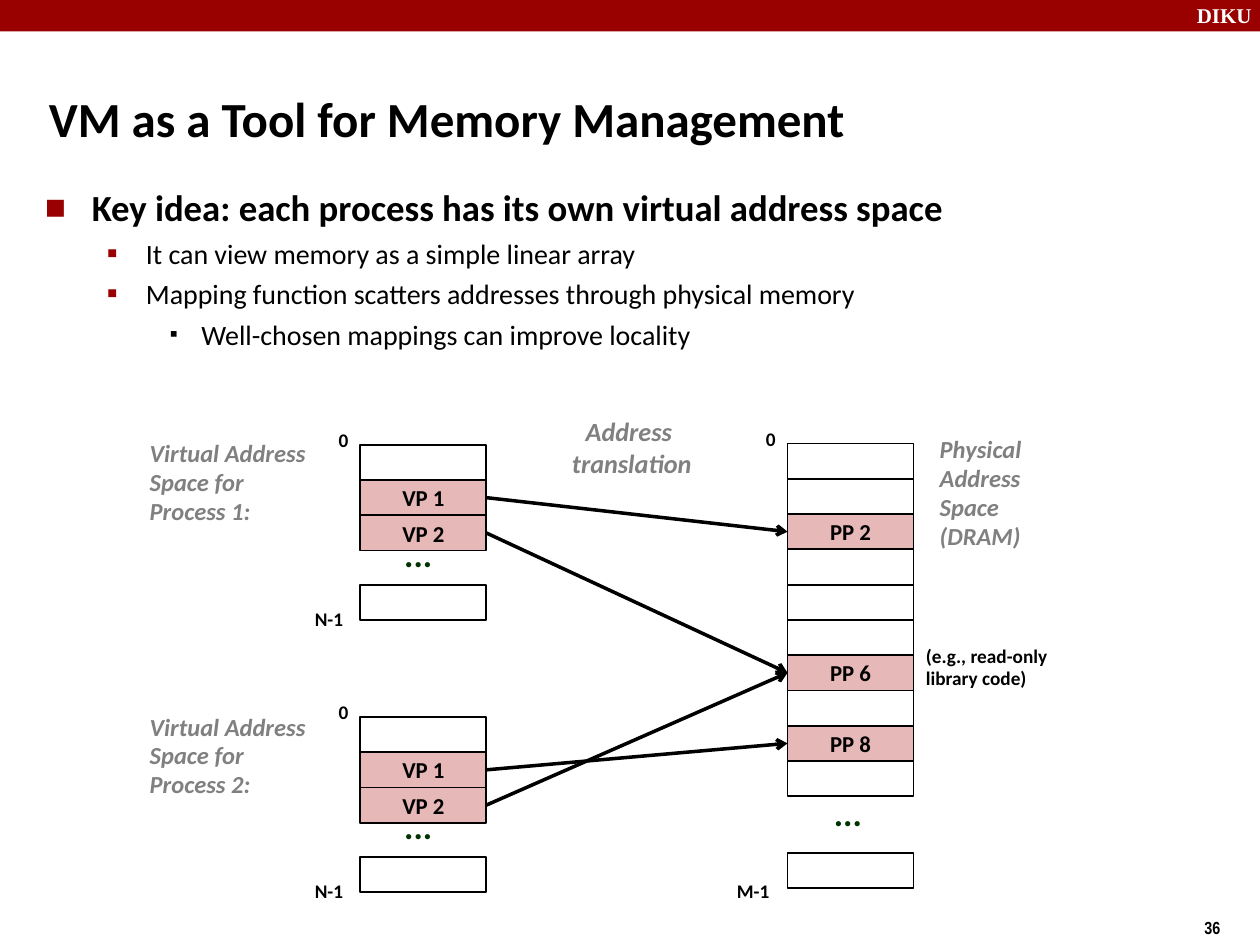
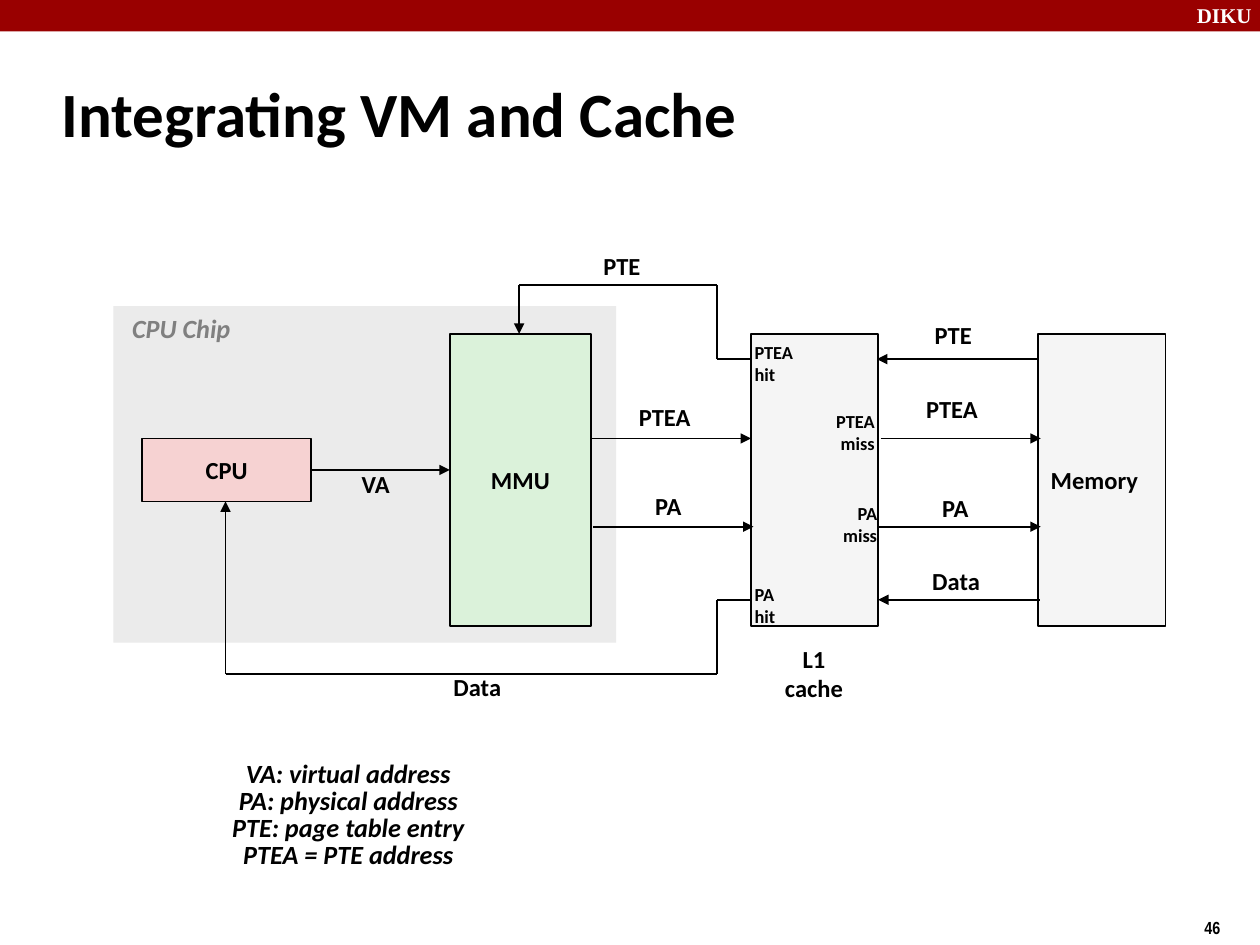
"""Build two lecture slides on virtual memory: address translation and the cache."""
from dataclasses import dataclass

from lxml.etree import SubElement
from pptx import Presentation
from pptx.dml.color import RGBColor
from pptx.enum.shapes import MSO_CONNECTOR as Connector, MSO_SHAPE as Shape
from pptx.enum.text import MSO_ANCHOR as Anchor, PP_ALIGN as Align
from pptx.oxml.ns import qn
from pptx.util import Inches, Pt


@dataclass(frozen=True)
class Theme:
    font: str = "Calibri"
    brand_font: str = "Times New Roman"
    number_font: str = "Arial Narrow"
    band: str = "990000"
    paper: str = "FFFFFF"
    ink: str = "000000"
    muted: str = "808080"
    dots: str = "003300"
    mapped: str = "E6B9B8"
    chip: str = "EBEBEB"
    cpu: str = "F6D2D2"
    mmu: str = "DBF2DA"
    storage: str = "F5F5F5"
    brand_size: float = 12
    number_size: float = 10
    name_size: float = 14
    note_size: float = 15
    page_size: float = 13
    mark_size: float = 11
    dots_size: float = 20
    port_size: float = 10.5


THEME = Theme()
SNUG = (0.07, 0.03)

BRAND = "DIKU"
MEMORY = dict(title="VM as a Tool for Memory Management", at=(0.29, 0.62, 9.42, 0.63),
              size=28, number="36")
CACHE = dict(title="Integrating VM and Cache", at=(0.39, 0.48, 8.3, 0.83),
             size=36, number="46")

KEY_IDEA = [
    (0, "Key idea: each process has its own virtual address space"),
    (1, "It can view memory as a simple linear array"),
    (1, "Mapping function scatters addresses through physical memory"),
    (2, "Well-chosen mappings can improve locality"),
]
LEVELS = [
    dict(indent=0.38, hang=0.37, before=4.8, mark="■", color=THEME.band, scale=60, size=21),
    dict(indent=0.81, hang=0.31, before=4, mark="▪", color=THEME.band, scale=110, size=16),
    dict(indent=1.25, hang=0.25, before=4, mark="▪", color=THEME.ink, scale=80, size=16),
]

PAGE_WIDTH, PAGE_HEIGHT = 1, 0.28
VIRTUAL = dict(left=2.86, pages=["", "VP 1", "VP 2"], last=1.11, dots=(0.25, 0.69),
               end="N-1", end_width=0.49, end_drop=0.14)
SPACES = {
    "process 1": dict(VIRTUAL, top=3.53, name=["Virtual Address Space for Process 1:"],
                      name_at=(1.09, 3.44, 1.5, 1.28)),
    "process 2": dict(VIRTUAL, top=5.69, name=["Virtual Address Space for Process 2:"],
                      name_at=(1.09, 5.61, 1.5, 1.28)),
    "physical": dict(left=6.25, top=3.52, last=3.25, dots=(0.27, 2.76),
                     pages=["", "", "PP 2", "", "", "", "PP 6", "", "PP 8", ""],
                     end="M-1", end_width=0.53, end_drop=0.17,
                     name=["Physical", "Address", "Space (DRAM)"],
                     name_at=(7.36, 3.41, 1.17, 1.28)),
}
MAPPINGS = [
    ("process 1", "VP 1", "PP 2"), ("process 1", "VP 2", "PP 6"),
    ("process 2", "VP 2", "PP 6"), ("process 2", "VP 1", "PP 8"),
]
SHARED_CODE = ["(e.g., read-only", "library code)"]
TRANSLATION = ["Address ", "translation"]

UNIT_TOP, UNIT_HEIGHT = 2.65, 2.32
UNITS = [
    ("CPU", (1.13, 3.48, 1.34, 0.5), THEME.cpu, Align.CENTER),
    ("MMU", (3.57, UNIT_TOP, 1.12, UNIT_HEIGHT), THEME.mmu, Align.CENTER),
    ("", (5.96, UNIT_TOP, 1.01, UNIT_HEIGHT), THEME.storage, Align.CENTER),
    ("Memory", (8.24, UNIT_TOP, 1.01, UNIT_HEIGHT), THEME.storage, Align.LEFT),
]
ROUTES = [
    [(2.47, 3.73), (3.57, 3.73)],
    [(4.69, 3.48), (5.96, 3.48)],
    [(4.71, 4.18), (5.98, 4.18)],
    [(6.99, 3.48), (8.26, 3.48)],
    [(6.97, 4.18), (8.26, 4.18)],
    [(8.24, 2.85), (6.96, 2.85)],
    [(8.25, 4.76), (6.97, 4.76)],
    [(5.96, 2.85), (5.69, 2.85), (5.69, 2.26), (4.12, 2.26), (4.12, 2.65)],
    [(5.96, 4.76), (5.69, 4.76), (5.69, 5.35), (1.79, 5.35), (1.79, 3.98)],
]
REQUESTS = [
    ("VA", (2.8, 3.73, 0.39, 0.32)),
    ("PTEA", (5, 3.2, 0.61, 0.32)),
    ("PA", (5.13, 3.9, 0.38, 0.32)),
    ("PTEA", (7.28, 3.13, 0.61, 0.32)),
]
REPLIES = [
    ("PTE", (4.69, 1.93, 0.53, 0.36)),
    ("Data", (3.5, 5.27, 0.63, 0.36)),
    ("PA", (7.38, 3.85, 0.44, 0.36)),
    ("Data", (7.3, 4.43, 0.63, 0.36)),
    ("PTE", (7.32, 2.48, 0.53, 0.36)),
]
PORTS = [
    (["PTEA", "hit"], (5.89, 2.63, 0.59, 0.5), Align.LEFT),
    (["PTEA", "miss"], (6.49, 3.18, 0.55, 0.5), Align.RIGHT),
    (["PA", "miss"], (6.55, 3.91, 0.51, 0.5), Align.RIGHT),
    (["PA", "hit"], (5.89, 4.55, 0.41, 0.5), Align.LEFT),
]
GLOSSARY = ["VA: virtual address", "PA: physical address",
            "PTE: page table entry", "PTEA = PTE address"]


def rgb(color):
    return RGBColor.from_string(color)


def set_frame(frame, anchor, wrap, inset):
    frame.word_wrap = wrap
    frame.vertical_anchor = anchor
    frame.margin_left = frame.margin_right = Inches(inset[0])
    frame.margin_top = frame.margin_bottom = Inches(inset[1])


def add_run(paragraph, words, size, color=THEME.ink, font=THEME.font, bold=True, italic=False):
    run = paragraph.add_run()
    run.text = words
    run.font.size, run.font.name = Pt(size), font
    run.font.bold, run.font.italic = bold, italic
    run.font.color.rgb = rgb(color)


def write(frame, lines, size, align=Align.LEFT, spacing=None, anchor=Anchor.TOP,
          wrap=False, inset=(0.1, 0.05), **look):
    set_frame(frame, anchor, wrap, inset)
    for index, words in enumerate(lines):
        paragraph = frame.add_paragraph() if index else frame.paragraphs[0]
        paragraph.alignment = align
        if spacing:
            paragraph.line_spacing = spacing
        add_run(paragraph, words, size, **look)


def add_label(slide, at, lines, size, **style):
    write(slide.shapes.add_textbox(*map(Inches, at)).text_frame, lines, size, **style)


def add_box(slide, at, fill=None, outline=True):
    box = slide.shapes.add_shape(Shape.RECTANGLE, *map(Inches, at))
    box.shadow.inherit = False
    if fill:
        box.fill.solid()
        box.fill.fore_color.rgb = rgb(fill)
    else:
        box.fill.background()
    if outline:
        box.line.color.rgb = rgb(THEME.ink)
        box.line.width = Pt(1)
    else:
        box.line.fill.background()
    return box


def add_route(slide, stops, width=1, head="triangle"):
    for start, end in zip(stops, stops[1:]):
        leg = slide.shapes.add_connector(Connector.STRAIGHT, *map(Inches, start + end))
        leg.line.color.rgb = rgb(THEME.ink)
        leg.line.width = Pt(width)
        if end == stops[-1]:
            SubElement(leg.line._get_or_add_ln(), qn("a:tailEnd"), type=head)
        SubElement(leg._element.spPr, qn("a:effectLst"))


def add_bullet(paragraph, level):
    props = paragraph._p.get_or_add_pPr()
    props.set("marL", str(Inches(level["indent"])))
    props.set("indent", str(-Inches(level["hang"])))
    SubElement(SubElement(props, qn("a:buClr")), qn("a:srgbClr"), val=level["color"])
    SubElement(props, qn("a:buSzPct"), val=str(level["scale"] * 1000))
    SubElement(props, qn("a:buFont"), typeface=THEME.font)
    SubElement(props, qn("a:buChar"), char=level["mark"])


def start_slide(deck, heading):
    slide = deck.slides.add_slide(deck.slide_layouts[6])
    slide.background.fill.solid()
    slide.background.fill.fore_color.rgb = rgb(THEME.paper)
    add_box(slide, (0, 0, 10, 0.25), THEME.band, outline=False)
    add_label(slide, (9.4, -0.03, 0.67, 0.3), [BRAND], THEME.brand_size,
              font=THEME.brand_font, color=THEME.paper, wrap=True)
    add_label(slide, (9.46, 7.23, 0.75, 0.27), [heading["number"]], THEME.number_size,
              font=THEME.number_font)
    add_label(slide, heading["at"], [heading["title"]], heading["size"],
              anchor=Anchor.MIDDLE, wrap=True)
    return slide


def add_key_idea(slide):
    frame = slide.shapes.add_textbox(*map(Inches, (0.25, 1.42, 8.58, 1.37))).text_frame
    set_frame(frame, Anchor.TOP, True, (0.1, 0.05))
    for index, (depth, words) in enumerate(KEY_IDEA):
        level = LEVELS[depth]
        paragraph = frame.add_paragraph() if index else frame.paragraphs[0]
        paragraph.level = depth
        add_bullet(paragraph, level)
        if index:
            paragraph.space_before = Pt(level["before"])
        add_run(paragraph, words, level["size"], bold=depth == 0)


def add_space(slide, left, top, pages, last, dots, end, end_width, end_drop, name, name_at):
    """Draw one address space and return the middle height of each named page."""
    middles = {}
    offsets = [row * PAGE_HEIGHT for row in range(len(pages))] + [last]
    for page, offset in zip(pages + [""], offsets):
        box = add_box(slide, (left, top + offset, PAGE_WIDTH, PAGE_HEIGHT),
                      THEME.mapped if page else None)
        if page:
            write(box.text_frame, [page], THEME.page_size, align=Align.CENTER,
                  anchor=Anchor.MIDDLE, wrap=True)
            middles[page] = top + offset + PAGE_HEIGHT / 2
    add_label(slide, (left + dots[0], top + dots[1], 0.46, 0.5), ["..."],
              THEME.dots_size, color=THEME.dots, spacing=0.88)
    add_label(slide, (left - 0.27, top - 0.17, 0.3, 0.33), ["0"],
              THEME.mark_size, spacing=0.98)
    add_label(slide, (left + 0.03 - end_width, top + last + end_drop, end_width, 0.33),
              [end], THEME.mark_size, spacing=0.98)
    add_label(slide, name_at, name, THEME.name_size, color=THEME.muted,
              italic=True, spacing=0.98, wrap=True)
    return middles


def build_memory(deck):
    slide = start_slide(deck, MEMORY)
    add_key_idea(slide)
    middles = {key: add_space(slide, **space) for key, space in SPACES.items()}
    physical_left = SPACES["physical"]["left"]
    for process, virtual_page, physical_page in MAPPINGS:
        start = (SPACES[process]["left"] + PAGE_WIDTH, middles[process][virtual_page])
        end = (physical_left, middles["physical"][physical_page])
        add_route(slide, [start, end], width=2, head="arrow")
    add_label(slide, (7.25, 5.07, 1.58, 0.56), SHARED_CODE, THEME.mark_size,
              spacing=0.98, wrap=True)
    add_label(slide, (4.28, 3.25, 1.47, 0.77), TRANSLATION, THEME.note_size,
              color=THEME.muted, italic=True, align=Align.CENTER)


def build_cache(deck):
    slide = start_slide(deck, CACHE)
    add_box(slide, (0.9, 2.43, 3.99, 2.67), THEME.chip, outline=False)
    add_label(slide, (0.95, 2.43, 1.14, 0.4), ["CPU Chip"], THEME.note_size,
              color=THEME.muted, italic=True)
    for unit, at, fill, align in UNITS:
        box = add_box(slide, at, fill)
        if unit:
            write(box.text_frame, [unit], THEME.name_size, align=align, anchor=Anchor.MIDDLE)
    for stops in ROUTES:
        add_route(slide, stops)
    for words, at in REQUESTS:
        add_label(slide, at, [words], THEME.name_size, spacing=0.85, inset=SNUG)
    for words, at in REPLIES:
        add_label(slide, at, [words], THEME.name_size, anchor=Anchor.MIDDLE)
    for lines, at, align in PORTS:
        add_label(slide, at, lines, THEME.port_size, align=align, anchor=Anchor.MIDDLE)
    add_label(slide, (6.1, 5.03, 0.72, 0.63), ["L1", "cache"], THEME.name_size,
              align=Align.CENTER, anchor=Anchor.MIDDLE)
    add_label(slide, (1.23, 6.02, 3.07, 0.94), GLOSSARY, THEME.note_size,
              italic=True, align=Align.CENTER, spacing=0.85, inset=SNUG)


def main():
    deck = Presentation()
    deck.slide_width, deck.slide_height = Inches(10), Inches(7.5)
    build_memory(deck)
    build_cache(deck)
    deck.save("out.pptx")


if __name__ == "__main__":
    main()
